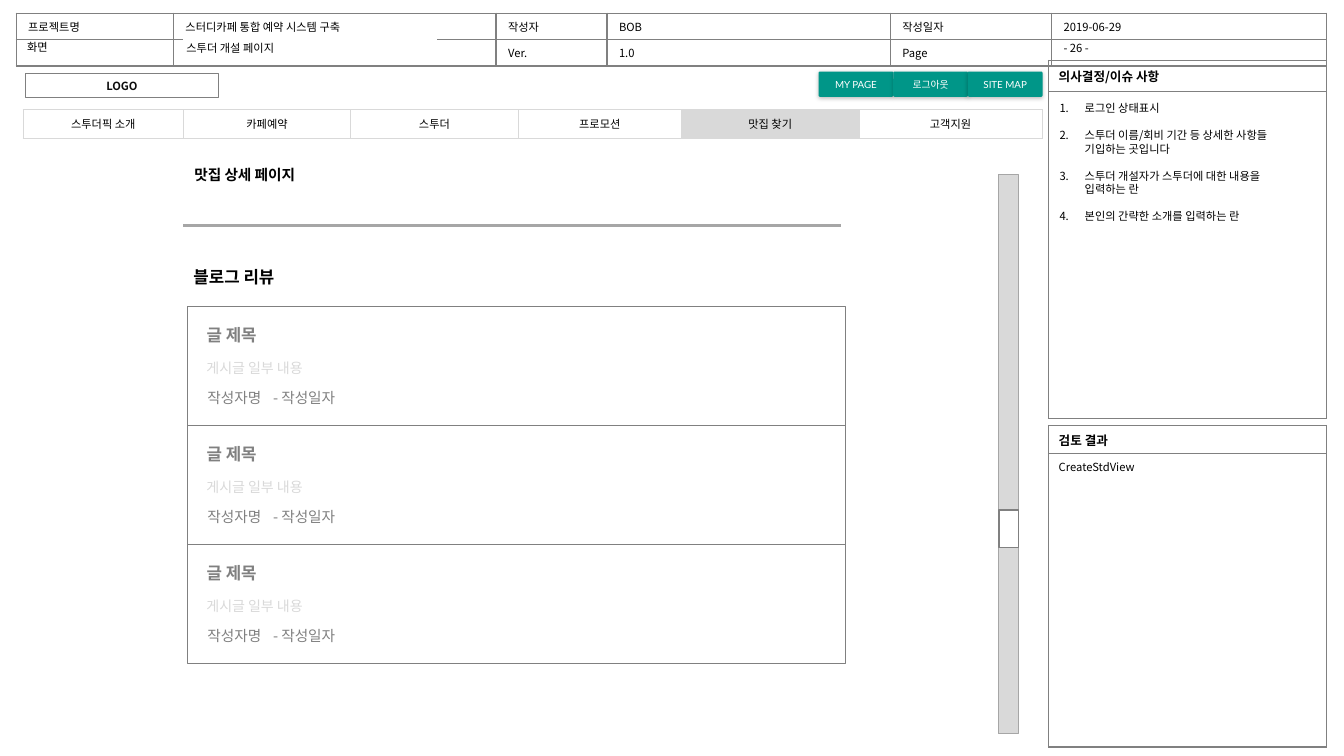
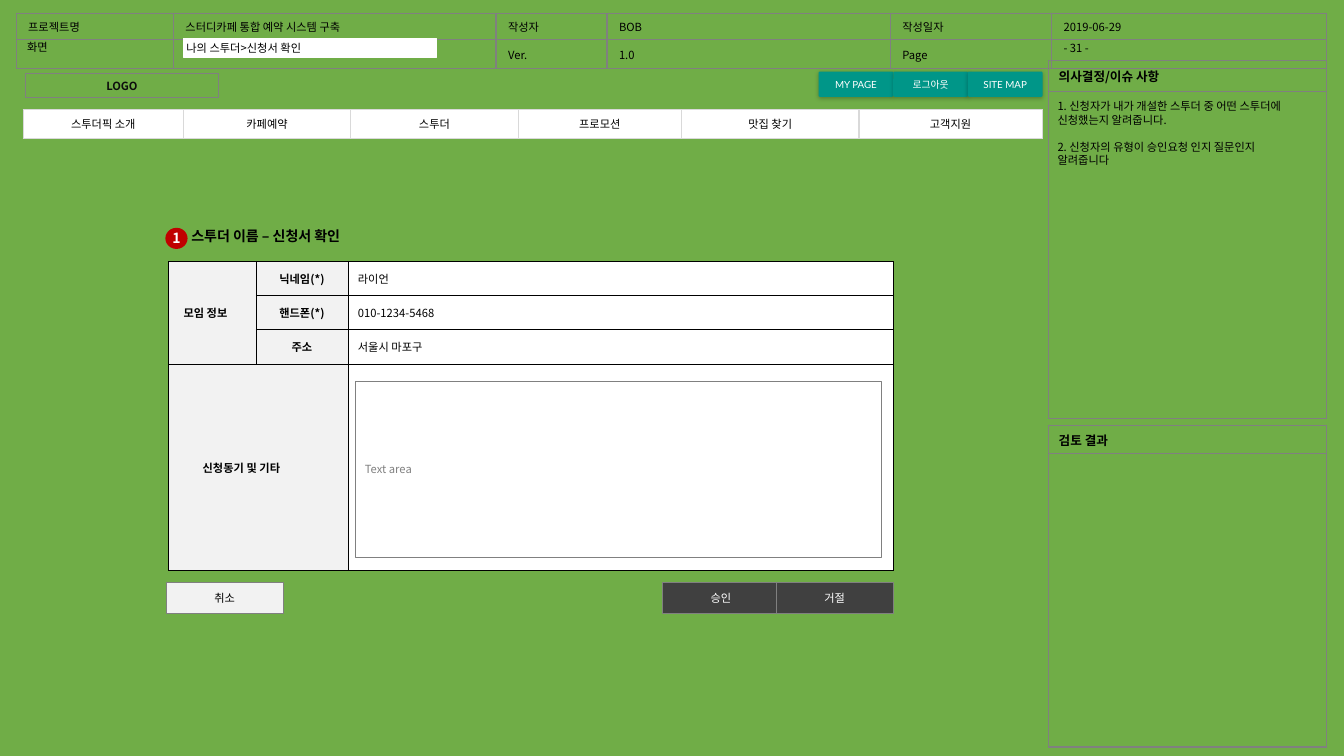
from lxml import etree
from pptx import Presentation
from pptx.dml.color import RGBColor
from pptx.enum.shapes import MSO_CONNECTOR, MSO_SHAPE
from pptx.enum.text import MSO_ANCHOR, PP_ALIGN
from pptx.oxml.ns import qn
from pptx.util import Inches, Pt

RECT, ROUND, OVAL = MSO_SHAPE.RECTANGLE, MSO_SHAPE.ROUNDED_RECTANGLE, MSO_SHAPE.OVAL
STRAIGHT = MSO_CONNECTOR.STRAIGHT
TOP, MIDDLE = MSO_ANCHOR.TOP, MSO_ANCHOR.MIDDLE
LEFT, CENTER = PP_ALIGN.LEFT, PP_ALIGN.CENTER

FONT, BUTTON_FONT = "Noto Sans CJK KR", "Lato"
BLACK = RGBColor(0x00, 0x00, 0x00)
INK = RGBColor(0x0D, 0x0D, 0x0D)
WHITE = RGBColor(0xFF, 0xFF, 0xFF)
GRAY = RGBColor(0x80, 0x80, 0x80)
MID_GRAY = RGBColor(0xA6, 0xA6, 0xA6)
LIGHT = RGBColor(0xD9, 0xD9, 0xD9)
PALE = RGBColor(0xF2, 0xF2, 0xF2)
DARK = RGBColor(0x40, 0x40, 0x40)
TEAL = RGBColor(0x00, 0x96, 0x88)
GREEN = RGBColor(0x70, 0xAD, 0x47)
RED = RGBColor(0xC0, 0x00, 0x00)

MENU = ["스투더픽 소개", "카페예약", "스투더", "프로모션", "맛집 찾기", "고객지원"]
MENU_COLS = [1.59, 1.66, 1.66, 1.62, 1.76, 1.82]
HEADER = [
    ["프로젝트명", "스터디카페 통합 예약 시스템 구축", "작성자", "BOB", "작성일자", "2019-06-29"],
    ["", "", "Ver.", "1.0", "Page", ""],
]
HEADER_COLS = [1.56, 3.2, 1.1, 2.81, 1.6, 2.73]


def sub(parent, tag, **attrs):
    return etree.SubElement(parent, qn(tag), {k: str(v) for k, v in attrs.items()})


class Wireframe:
    def __init__(self, prs):
        self.prs = prs
        self.s = None

    def style(self, p, size=8, color=BLACK, bold=False, align=LEFT, font=FONT):
        p.alignment = align
        f = p.font
        f.size, f.bold, f.name = Pt(size), bold, font
        f.color.rgb = color
        sub(f._element, "a:ea", typeface=FONT)

    def text(self, x, y, w, h, text, anchor=TOP, wrap=True, tab=None, **style):
        tf = self.s.shapes.add_textbox(Inches(x), Inches(y), Inches(w), Inches(h)).text_frame
        tf.word_wrap, tf.vertical_anchor = wrap, anchor
        p = tf.paragraphs[0]
        p.text = text
        if tab:
            tabs = sub(p._p.get_or_add_pPr(), "a:tabLst")
            sub(tabs, "a:tab", pos=Inches(tab), algn="l")
        self.style(p, **style)

    def notes(self, x, y, w, h, items, numbered=False):
        tf = self.s.shapes.add_textbox(Inches(x), Inches(y), Inches(w), Inches(h)).text_frame
        tf.word_wrap = True
        for i, (text, gap) in enumerate(items):
            p = tf.add_paragraph() if i else tf.paragraphs[0]
            p.text = text
            p.space_before = Pt(gap)
            if numbered:
                pPr = p._p.get_or_add_pPr()
                pPr.set("marL", str(Inches(0.25)))
                pPr.set("indent", str(-Inches(0.25)))
                sub(pPr, "a:buAutoNum", type="arabicPeriod")
            self.style(p)

    def shape(self, x, y, w, h, kind=RECT, fill=None, line=None, weight=0.25,
              text="", inset=0.1, **style):
        sp = self.s.shapes.add_shape(kind, Inches(x), Inches(y), Inches(w), Inches(h))
        sp.shadow.inherit = False
        if fill is None:
            sp.fill.background()
        else:
            sp.fill.solid()
            sp.fill.fore_color.rgb = fill
        if line is None:
            sp.line.fill.background()
        else:
            sp.line.color.rgb = line
            sp.line.width = Pt(weight)
        if text:
            tf = sp.text_frame
            tf.word_wrap, tf.vertical_anchor = True, MIDDLE
            tf.margin_left = tf.margin_right = Inches(inset)
            tf.margin_top = tf.margin_bottom = Inches(min(inset, 0.05))
            tf.paragraphs[0].text = text
            self.style(tf.paragraphs[0], **style)
        return sp

    def button(self, x, text):
        sp = self.shape(x, 0.71, 0.74, 0.25, ROUND, TEAL, text=text, inset=0.08,
                        size=7, color=WHITE, align=CENTER, font=BUTTON_FONT)
        sp.adjustments[0] = 0.05
        effects = sp._element.spPr.find(qn("a:effectLst"))
        shadow = sub(effects, "a:outerShdw", blurRad=Pt(3), dist=Pt(1), dir=5400000, rotWithShape=0)
        sub(sub(shadow, "a:srgbClr", val=BLACK), "a:alpha", val=25000)

    def line(self, x1, y1, x2, y2, color, weight):
        c = self.s.shapes.add_connector(STRAIGHT, Inches(x1), Inches(y1), Inches(x2), Inches(y2))
        c.line.color.rgb = color
        c.line.width = Pt(weight)
        sub(c._element.spPr, "a:effectLst")

    def table(self, x, y, cols, rows, line=GRAY, weight=1):
        frame = self.s.shapes.add_table(len(rows), len(cols), Inches(x), Inches(y),
                                        Inches(sum(cols)), Inches(sum(rows)))
        tbl = frame.table
        tbl.first_row = tbl.horz_banding = False
        for col, w in zip(tbl.columns, cols):
            col.width = Inches(w)
        for row, h in zip(tbl.rows, rows):
            row.height = Inches(h)
        for cell in tbl.iter_cells():
            tcPr = cell._tc.get_or_add_tcPr()
            for side in ("a:lnL", "a:lnR", "a:lnT", "a:lnB"):
                ln = sub(tcPr, side, w=Pt(weight))
                sub(sub(ln, "a:solidFill"), "a:srgbClr", val=line)
            cell.fill.background()
            cell.text_frame.paragraphs[0]._p.get_or_add_endParaRPr().set("sz", "800")
        return tbl

    def cell(self, cell, text="", fill=None, anchor=MIDDLE, inset=0.1, **style):
        cell.vertical_anchor = anchor
        cell.margin_left = Inches(inset)
        if fill is not None:
            cell.fill.solid()
            cell.fill.fore_color.rgb = fill
        if text:
            p = cell.text_frame.paragraphs[0]
            p.text = text
            self.style(p, **style)

    def panel(self, y, rows, title, body=""):
        tbl = self.table(10.4, y, [2.76], rows)
        self.cell(tbl.cell(0, 0), title, size=9, bold=True)
        self.cell(tbl.cell(1, 0), body, anchor=TOP)

    def page(self, background, screen, number, active=None, result="", second_row=0.24):
        self.s = self.prs.slides.add_slide(self.prs.slide_layouts[6])
        self.s.background.fill.solid()
        self.s.background.fill.fore_color.rgb = background

        tbl = self.table(0.16, 0.13, HEADER_COLS, [0.24, second_row])
        for r, row in enumerate(HEADER):
            for c, text in enumerate(row):
                self.cell(tbl.cell(r, c), text, inset=0.12)
        self.text(0.17, 0.35, 0.41, 0.24, "화면", wrap=False)
        self.shape(1.82, 0.38, 2.51, 0.19, fill=WHITE, line=WHITE, weight=1)
        self.text(1.75, 0.38, 2.62, 0.2, screen, anchor=MIDDLE)
        self.text(10.45, 0.36, 1.07, 0.24, f"- {number} -")

        self.panel(0.6, [0.31, 3.24], "의사결정/이슈 사항")
        self.panel(4.22, [0.28, 2.91], "검토 결과", result)

        tbl = self.table(0.23, 1.09, MENU_COLS, [0.28], LIGHT)
        for c, text in enumerate(MENU):
            self.cell(tbl.cell(0, c), text, LIGHT if text == active else WHITE, align=CENTER)
        self.shape(0.25, 0.73, 1.92, 0.24, line=GRAY, weight=0.75, text="LOGO",
                   color=INK, bold=True, align=CENTER)
        for i, text in enumerate(["MY PAGE", "로그아웃", "SITE MAP"]):
            self.button(8.12 + i * 0.74, text)

    def review_card(self, y):
        self.shape(1.86, y, 6.52, 1.18, fill=WHITE, line=GRAY)
        self.text(1.95, y + 0.13, 1.49, 0.3, "글 제목", size=12, color=GRAY, bold=True)
        self.text(1.95, y + 0.48, 3.03, 0.27, "게시글 일부 내용", size=10, color=LIGHT)
        self.text(1.96, y + 0.77, 2.16, 0.28, "작성자명\t- 작성일자", tab=0.65, size=10.5, color=GRAY)


def restaurant_page(w):
    w.page(WHITE, "스투더 개설 페이지", 26, active="맛집 찾기", result="CreateStdView")
    w.notes(10.41, 0.96, 2.62, 2.95, [
        ("로그인 상태표시", 0),
        ("스투더 이름/회비 기간 등 상세한 사항들\n기입하는 곳입니다", 9.6),
        ("스투더 개설자가 스투더에 대한 내용을\n입력하는 란", 9.6),
        ("본인의 간략한 소개를 입력하는 란", 9.6),
    ], numbered=True)
    w.text(1.83, 1.6, 1.43, 0.29, "맛집 상세 페이지", size=10.5, bold=True)
    w.line(1.82, 2.24, 8.34, 2.24, MID_GRAY, 2.25)
    w.shape(9.9, 1.73, 0.2, 5.55, fill=LIGHT, line=MID_GRAY, weight=0.5)
    w.shape(9.91, 5.06, 0.19, 0.37, fill=WHITE, line=GRAY, weight=1)
    w.text(1.82, 2.6, 1.43, 0.3, "블로그 리뷰", size=12, bold=True)
    for i in range(3):
        w.review_card(3.04 + i * 1.18)


def application_page(w):
    w.page(GREEN, "나의 스투더>신청서 확인", 31, second_row=0.29)
    w.notes(10.39, 0.94, 2.62, 2.75, [
        ("1. 신청자가 내가 개설한 스투더 중 어떤 스투더에 신청했는지 알려줍니다.", 0),
        ("2. 신청자의 유형이 승인요청 인지 질문인지", 9.6),
        ("알려줍니다", 0),
    ])
    w.text(1.8, 2.21, 2.49, 0.27, "스투더 이름 – 신청서 확인", size=10, bold=True)
    w.shape(1.64, 2.26, 0.22, 0.21, OVAL, RED, text="1", inset=0,
            size=10, color=WHITE, bold=True, align=CENTER)

    tbl = w.table(1.67, 2.59, [0.87, 0.91, 5.41], [0.34, 0.34, 0.34, 2.05], BLACK, 0.25)
    tbl.cell(0, 0).merge(tbl.cell(2, 0))
    tbl.cell(3, 0).merge(tbl.cell(3, 1))
    w.cell(tbl.cell(0, 0), "모임 정보", PALE, inset=0.15, bold=True)
    w.cell(tbl.cell(3, 0), "신청동기 및 기타", PALE, inset=0.34, bold=True)
    w.cell(tbl.cell(3, 2), fill=WHITE)
    fields = [("닉네임(*)", "라이언"), ("핸드폰(*)", "010-1234-5468"), ("주소", "서울시 마포구")]
    for r, (label, value) in enumerate(fields):
        w.cell(tbl.cell(r, 1), label, PALE, bold=True, align=CENTER)
        w.cell(tbl.cell(r, 2), value, WHITE)
    w.shape(3.52, 3.78, 5.22, 1.75, fill=WHITE, line=GRAY, text="Text area", color=GRAY)

    for x, text, fill, color in [(1.65, "취소", PALE, BLACK), (6.57, "승인", DARK, WHITE),
                                 (7.7, "거절", DARK, WHITE)]:
        w.shape(x, 5.78, 1.16, 0.3, fill=fill, line=GRAY, text=text, color=color, align=CENTER)


def main():
    prs = Presentation()
    prs.slide_width, prs.slide_height = Inches(13.33), Inches(7.5)
    w = Wireframe(prs)
    restaurant_page(w)
    application_page(w)
    prs.save("out.pptx")


if __name__ == "__main__":
    main()
